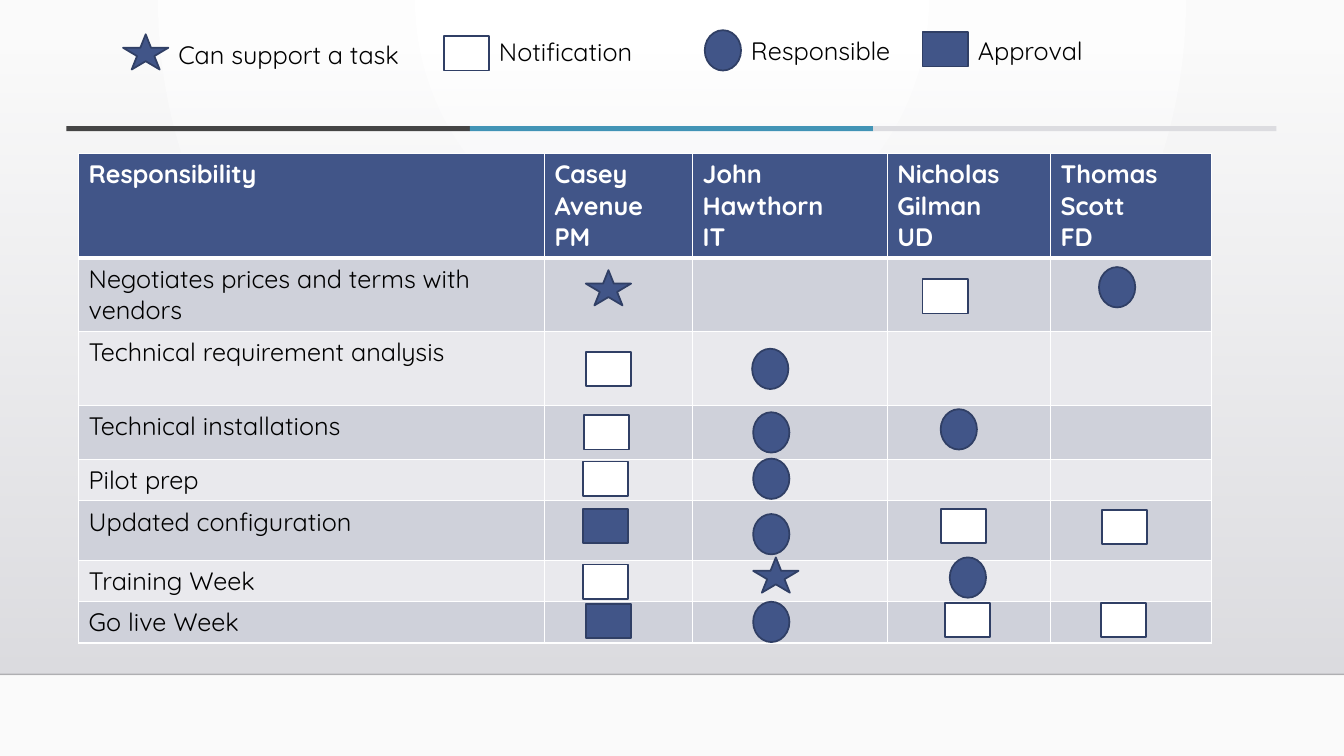
from dataclasses import dataclass

from lxml import etree
from pptx import Presentation
from pptx.dml.color import RGBColor
from pptx.enum.shapes import MSO_CONNECTOR, MSO_SHAPE
from pptx.enum.text import MSO_AUTO_SIZE
from pptx.oxml.ns import qn
from pptx.util import Pt

STAR = MSO_SHAPE.STAR_5_POINT
BOX = MSO_SHAPE.RECTANGLE
OVAL = MSO_SHAPE.OVAL
STRAIGHT = MSO_CONNECTOR.STRAIGHT
GROW = MSO_AUTO_SIZE.SHAPE_TO_FIT_TEXT
PX = 9144


@dataclass(frozen=True)
class Theme:
    font: str = "Quicksand"
    size: int = 18
    text: str = "000000"
    white: str = "FFFFFF"
    backdrop: str = "FAFAFA"
    panel_top: str = "DCDCE0"
    panel_bottom: str = "DEDEE2"
    edge: str = "000001"
    navy: str = "415588"
    outline: str = "303F65"
    bars: tuple = ("454545", "4294B6", "DCDCE0")
    bands: tuple = ("CFD1DA", "E9E9ED")


THEME = Theme()

MARKS = {
    "support": (STAR, 45, 35, THEME.navy),
    "notify": (BOX, 45, 34, THEME.white),
    "responsible": (OVAL, 36, 40, THEME.navy),
    "approve": (BOX, 45, 34, THEME.navy),
}

LEGEND = [
    ("support", 122, 34, "Can support a task", 34, 250),
    ("notify", 440, 36, "Notification", 31, 199),
    ("responsible", 699, 30, "Responsible", 30, 185),
    ("approve", 915, 32, "Approval", 30, 199),
]

TABLE_LEFT, TABLE_TOP = 78, 152
HEADER_HEIGHT = 104
COLUMNS = [
    ("Responsibility", 462),
    ("Casey Avenue\nPM", 147),
    ("John Hawthorn\nIT", 193),
    ("Nicholas Gilman\nUD", 162),
    ("Thomas Scott\nFD", 160),
]
TASKS = [
    ("Negotiates prices and terms with vendors", 73,
     [("support", 581, 268), ("notify", 915, 277), ("responsible", 1090, 265)]),
    ("Technical requirement analysis", 73,
     [("notify", 581, 349), ("responsible", 746, 346)]),
    ("Technical installations", 54,
     [("notify", 579, 412), ("responsible", 747, 409), ("responsible", 933, 406)]),
    ("Pilot prep", 41,
     [("notify", 578, 458), ("responsible", 747, 455)]),
    ("Updated configuration", 59,
     [("approve", 578, 505), ("responsible", 747, 510),
      ("notify", 933, 505), ("notify", 1093, 506)]),
    ("Training Week", 41,
     [("notify", 578, 560), ("support", 747, 553), ("responsible", 942, 553)]),
    ("Go live Week", 41,
     [("approve", 581, 599), ("responsible", 747, 597),
      ("notify", 937, 598), ("notify", 1092, 598)]),
]


def rgb(value):
    return RGBColor.from_string(value)


def emu(*lengths):
    return [length * PX for length in lengths]


def set_alpha(color_parent, percent):
    color = next(color_parent.iter(qn("a:srgbClr")))
    etree.SubElement(color, qn("a:alpha"), val=str(percent * 1000))


def set_gradient(fill, start, end):
    fill.gradient()
    for stop, color in zip(fill.gradient_stops, (start, end)):
        stop.color.rgb = rgb(color)


def write(frame, text, *, color=THEME.text, bold=False):
    frame.word_wrap = True
    frame.text = text
    for para in frame.paragraphs:
        for span in para.runs:
            span.font.name = THEME.font
            span.font.size = Pt(THEME.size)
            span.font.bold = bold
            span.font.color.rgb = rgb(color)


def add_block(page, kind, left, top, width, height, color, outline=None):
    block = page.shapes.add_shape(kind, *emu(left, top, width, height))
    block.shadow.inherit = False
    block.fill.solid()
    block.fill.fore_color.rgb = rgb(color)
    if outline:
        block.line.color.rgb = rgb(outline)
        block.line.width = Pt(1.25)
    else:
        block.line.fill.background()
    return block


def add_mark(page, name, left, top):
    kind, width, height, color = MARKS[name]
    add_block(page, kind, left, top, width, height, color, THEME.outline)
    return left + width


def add_backdrop(page):
    set_gradient(page.background.fill, THEME.white, THEME.backdrop)
    linear = next(page.background._cSld.iter(qn("a:lin")))
    radial = etree.Element(qn("a:path"), path="circle")
    etree.SubElement(radial, qn("a:fillToRect"), l="43000", t="0", r="43000", b="100000")
    linear.getparent().replace(linear, radial)

    panel = add_block(page, BOX, 0, 51, 1333, 618, THEME.panel_top)
    set_gradient(panel.fill, THEME.panel_top, THEME.panel_bottom)
    panel.fill.gradient_angle = 270
    set_alpha(panel._element.spPr, 0)

    edge = page.shapes.add_connector(STRAIGHT, *emu(0, 669, 1333, 669))
    edge.line.color.rgb = rgb(THEME.edge)
    edge.line.width = Pt(1)
    set_alpha(edge._element.spPr, 20)
    etree.SubElement(edge._element.spPr, qn("a:effectLst"))

    for index, color in enumerate(THEME.bars):
        add_block(page, BOX, 66 + 400 * index, 125, 400, 5, color)


def add_legend(page):
    for name, left, top, label, label_top, label_width in LEGEND:
        right = add_mark(page, name, left, top)
        box = page.shapes.add_textbox(*emu(right, label_top, label_width, 40))
        write(box.text_frame, label)
        box.text_frame.auto_size = GROW


def style_cell(cell, color, bottom=1, top=1):
    properties = cell._tc.get_or_add_tcPr()
    for side, points in (("L", 1), ("R", 1), ("T", top), ("B", bottom)):
        border = etree.SubElement(properties, qn(f"a:ln{side}"), w=str(Pt(points)))
        solid = etree.SubElement(border, qn("a:solidFill"))
        etree.SubElement(solid, qn("a:srgbClr"), val=THEME.white)
    cell.fill.solid()
    cell.fill.fore_color.rgb = rgb(color)


def add_matrix(page):
    widths = [width for _, width in COLUMNS]
    heights = [HEADER_HEIGHT] + [height for _, height, _ in TASKS]
    frame = page.shapes.add_table(
        len(heights), len(widths),
        *emu(TABLE_LEFT, TABLE_TOP, sum(widths), sum(heights)))
    table = frame.table
    for column, width in zip(table.columns, widths):
        column.width = width * PX
    for row, height in zip(table.rows, heights):
        row.height = height * PX

    for cell, (name, _) in zip(table.rows[0].cells, COLUMNS):
        style_cell(cell, THEME.navy, bottom=3)
        write(cell.text_frame, name, color=THEME.white, bold=True)
    for index, (task, _, marks) in enumerate(TASKS):
        cells = list(table.rows[index + 1].cells)
        for cell in cells:
            style_cell(cell, THEME.bands[index % 2], top=1 if index else 3)
        write(cells[0].text_frame, task)
        for mark in marks:
            add_mark(page, *mark)


def main():
    deck = Presentation()
    deck.slide_width, deck.slide_height = emu(1333, 750)
    page = deck.slides.add_slide(deck.slide_layouts[6])
    add_backdrop(page)
    add_legend(page)
    add_matrix(page)
    deck.save("out.pptx")


if __name__ == "__main__":
    main()
